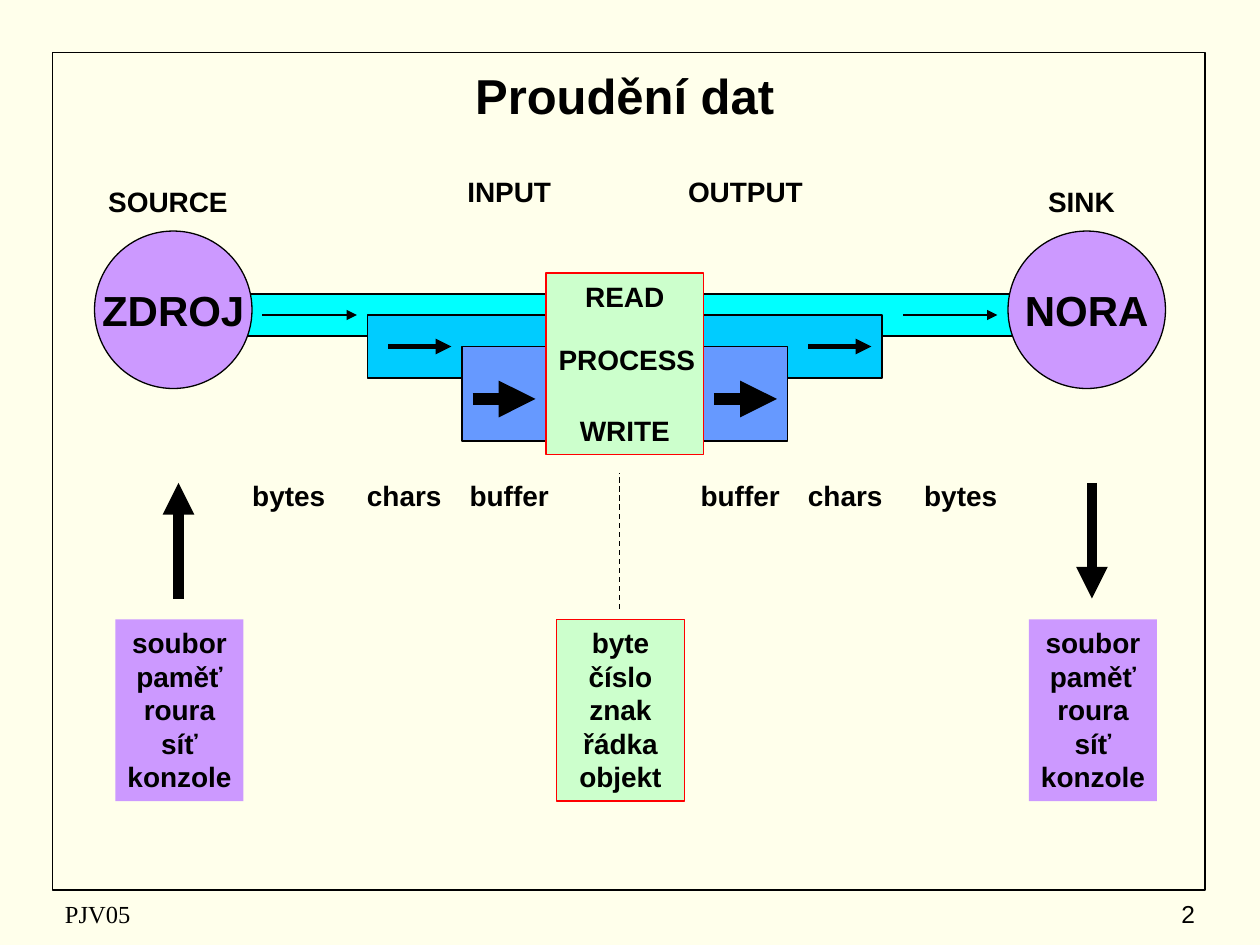
from pptx import Presentation
from pptx.dml.color import RGBColor
from pptx.enum.dml import MSO_LINE
from pptx.enum.shapes import MSO_CONNECTOR, MSO_SHAPE
from pptx.enum.text import MSO_ANCHOR as ANCHOR, PP_ALIGN as ALIGN
from pptx.oxml import parse_xml
from pptx.oxml.ns import nsdecls
from pptx.util import Pt

PX = 7620  # 120 px to the inch
BLACK, CYAN, SKY, BLUE = "000000", "00FFFF", "00CCFF", "6699FF"
VIOLET, GREEN, RED = "CC99FF", "CCFFCC", "FF0000"
LABEL = {"size": Pt(16), "bold": True, "name": "Arial"}

prs = Presentation()
prs.slide_width, prs.slide_height = 1200 * PX, 900 * PX
s = prs.slides.add_slide(prs.slide_layouts[6])


def rgb(color):
    return RGBColor.from_string(color)


def add_box(x, y, w, h, text="", fill=None, line=None, width=0.75, kind=MSO_SHAPE.RECTANGLE,
            align=ALIGN.CENTER, anchor=ANCHOR.TOP, wrap=True, gap=0, font=LABEL):
    place = [v * PX for v in (x, y, w, h)]
    if fill or line:
        sp = s.shapes.add_shape(kind, *place)
        sp.shadow.inherit = False
        if fill:
            sp.fill.solid()
            sp.fill.fore_color.rgb = rgb(fill)
        else:
            sp.fill.background()
        if line:
            sp.line.color.rgb = rgb(line)
            sp.line.width = Pt(width)
        else:
            sp.line.fill.background()
    else:
        sp = s.shapes.add_textbox(*place)
    tf = sp.text_frame
    tf.word_wrap, tf.vertical_anchor = wrap, anchor
    if text:
        tf.text = text
    for i, p in enumerate(tf.paragraphs):
        p.alignment = align
        p.line_spacing = Pt(1.2 * font["size"].pt)
        if i and gap:
            p.space_before = Pt(gap)
        for r in p.runs:
            for key, value in font.items():
                setattr(r.font, key, value)
            r.font.color.rgb = rgb(BLACK)


def add_line(x1, y1, x2, y2, width, arrow=True):
    cx = s.shapes.add_connector(MSO_CONNECTOR.STRAIGHT, x1 * PX, y1 * PX, x2 * PX, y2 * PX)
    cx.line.color.rgb = rgb(BLACK)
    cx.line.width = Pt(width)
    if arrow:
        ln = cx.line._get_or_add_ln()
        ln.append(parse_xml(f'<a:tailEnd {nsdecls("a")} type="triangle"/>'))
    else:
        cx.line.dash_style = MSO_LINE.DASH
    cx._element.spPr.append(parse_xml(f'<a:effectLst {nsdecls("a")}/>'))


# Background, frame, title and footer
s.background.fill.solid()
s.background.fill.fore_color.rgb = rgb("FFFFEB")
add_box(50, 50, 1098, 798, line=BLACK, width=1)
add_box(60, 50, 1070, 80, "Proudění dat", anchor=ANCHOR.MIDDLE, font={**LABEL, "size": Pt(28)})
add_box(50, 850, 380, 40, "PJV05", align=ALIGN.LEFT, anchor=ANCHOR.MIDDLE,
        font={"size": Pt(14), "name": "Times New Roman"})
add_box(900, 850, 250, 40, "2", align=ALIGN.RIGHT, anchor=ANCHOR.MIDDLE,
        font={"size": Pt(14), "name": "Arial"})

# Streams on both sides: bytes, chars, buffer
for x, y, w, h, color in [
    (210, 280, 310, 40, CYAN), (350, 300, 170, 60, SKY), (440, 330, 80, 90, BLUE),
    (670, 280, 300, 40, CYAN), (670, 300, 170, 60, SKY), (670, 330, 80, 90, BLUE),
]:
    add_box(x, y, w, h, fill=color, line=BLACK)

# Source and sink, each with its possible kinds
for x, name in [(90, "ZDROJ"), (960, "NORA")]:
    add_box(x, 220, 150, 150, name, VIOLET, BLACK, kind=MSO_SHAPE.OVAL,
            anchor=ANCHOR.MIDDLE, wrap=False, font={**LABEL, "size": Pt(24)})
    add_box(x + 20, 590, 122, 173, "soubor\npaměť\nroura\nsíť\nkonzole", VIOLET, wrap=False)

# Program in the middle and its data units
add_box(520, 260, 150, 173, "READ\nWRITE", GREEN, RED, gap=57.6)
add_box(520, 320, 154, 44, "PROCESS")
add_box(530, 590, 122, 173, "byte\nčíslo\nznak\nřádka\nobjekt", GREEN, RED)

# Flow arrows, thicker towards the program
for x1, x2, y, width in [
    (250, 340, 300, 1.5), (370, 430, 330, 3), (450, 510, 380, 7),
    (680, 740, 380, 7), (770, 830, 330, 3), (860, 950, 300, 1.5),
]:
    add_line(x1, y, x2, y, width)
add_line(170, 570, 170, 460, 6)
add_line(1040, 460, 1040, 570, 6)
add_line(590, 580, 590, 450, 0.75, arrow=False)

# Labels above and below the streams
for x, y, w, text in [
    (90, 170, 140, "SOURCE"), (430, 160, 110, "INPUT"),
    (640, 160, 140, "OUTPUT"), (960, 170, 140, "SINK"),
    (220, 450, 110, "bytes"), (330, 450, 110, "chars"), (430, 450, 110, "buffer"),
    (650, 450, 110, "buffer"), (750, 450, 110, "chars"), (860, 450, 110, "bytes"),
]:
    add_box(x, y, w, 44, text)

prs.save("out.pptx")
